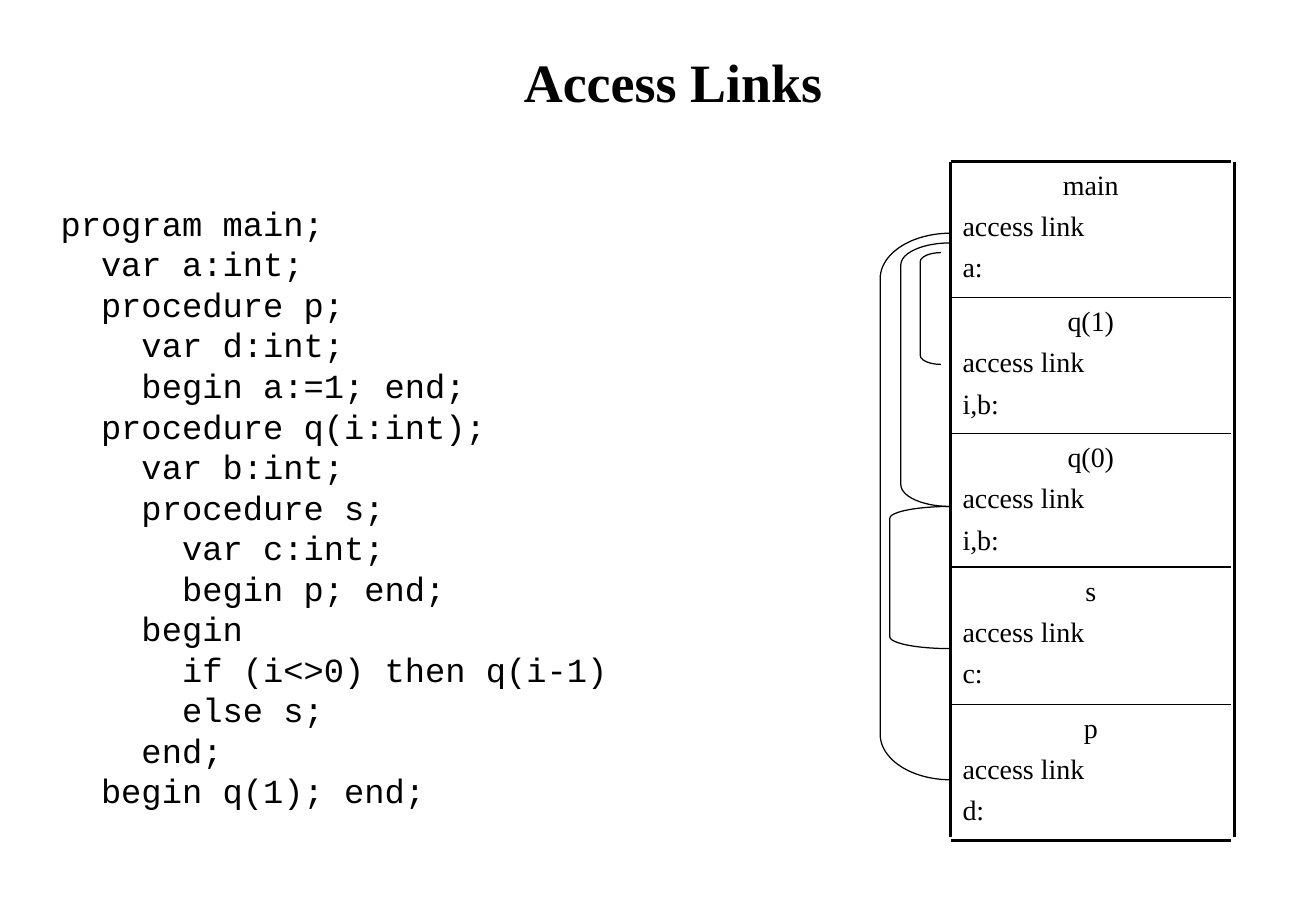
from lxml.etree import SubElement
from pptx import Presentation
from pptx.dml.color import RGBColor
from pptx.enum.shapes import MSO_CONNECTOR, MSO_SHAPE
from pptx.enum.text import MSO_ANCHOR, PP_ALIGN
from pptx.oxml.ns import qn
from pptx.util import Emu, Pt

PX = 9144
BLACK = RGBColor(0, 0, 0)
SERIF = "Times New Roman"

CODE = """program main;
  var a:int;
  procedure p;
    var d:int;
    begin a:=1; end;
  procedure q(i:int);
    var b:int;
    procedure s;
      var c:int;
      begin p; end;
    begin
      if (i<>0) then q(i-1)
      else s;
    end;
  begin q(1); end;"""

STACK_LEFT, STACK_RIGHT, STACK_EDGE = 783, 1014, 1017
FRAME_TOPS = [133, 245, 357, 467, 580, 692]
FRAMES = [("main", "a:"), ("q(1)", "i,b:"), ("q(0)", "i,b:"), ("s", "c:"), ("p", "d:")]
ACCESS_LINKS = [(725, 192, 58, 450), (733, 417, 50, 117), (742, 200, 41, 217), (758, 208, 17, 92)]

prs = Presentation()
prs.slide_width, prs.slide_height = Emu(1084 * PX), Emu(750 * PX)
slide = prs.slides.add_slide(prs.slide_layouts[6])


def add_text(box, lines, font, size, bold=False, gap=0):
    frame = slide.shapes.add_textbox(*[Emu(v * PX) for v in box]).text_frame
    frame.word_wrap = True
    for i, line in enumerate(lines):
        paragraph = frame.paragraphs[0] if i == 0 else frame.add_paragraph()
        paragraph.text = line
        paragraph.space_before = Pt(gap if i else 0)
        paragraph.font.name = font
        paragraph.font.size = Pt(size)
        paragraph.font.bold = bold
        paragraph.font.color.rgb = BLACK
    return frame


def add_rule(x1, y1, x2, y2, width):
    ends = [Emu(v * PX) for v in (x1, y1, x2, y2)]
    rule = slide.shapes.add_connector(MSO_CONNECTOR.STRAIGHT, *ends)
    rule.line.color.rgb = BLACK
    rule.line.width = Pt(width)
    SubElement(rule._element.spPr, qn("a:effectLst"))


title = add_text((42, 17, 1025, 100), ["Access Links"], SERIF, 32, bold=True)
title.vertical_anchor = MSO_ANCHOR.MIDDLE
title.paragraphs[0].alignment = PP_ALIGN.CENTER

program = add_text((40, 162, 471, 510), CODE.split("\n"), "Courier New", 20)
program.word_wrap = False

for (name, variables), top, bottom in zip(FRAMES, FRAME_TOPS, FRAME_TOPS[1:]):
    record = add_text((STACK_LEFT, top, STACK_RIGHT - STACK_LEFT, bottom - top),
                      [name, "access link", variables], SERIF, 16.6, gap=4.5)
    record.paragraphs[0].alignment = PP_ALIGN.CENTER

for y in FRAME_TOPS:
    add_rule(STACK_LEFT, y, STACK_RIGHT, y, 2.25 if y in (FRAME_TOPS[0], FRAME_TOPS[-1]) else 1)
for x in (STACK_LEFT, STACK_EDGE):
    add_rule(x, FRAME_TOPS[0], x, 689, 2.25)

for left, top, width, height in ACCESS_LINKS:
    link = slide.shapes.add_shape(MSO_SHAPE.LEFT_BRACKET, *[Emu(v * PX) for v in (left, top, width, height)])
    link.adjustments[0] = height / 12 / width
    link.shadow.inherit = False
    link.fill.background()
    link.line.color.rgb = BLACK
    link.line.width = Pt(0.75)

prs.save("out.pptx")
